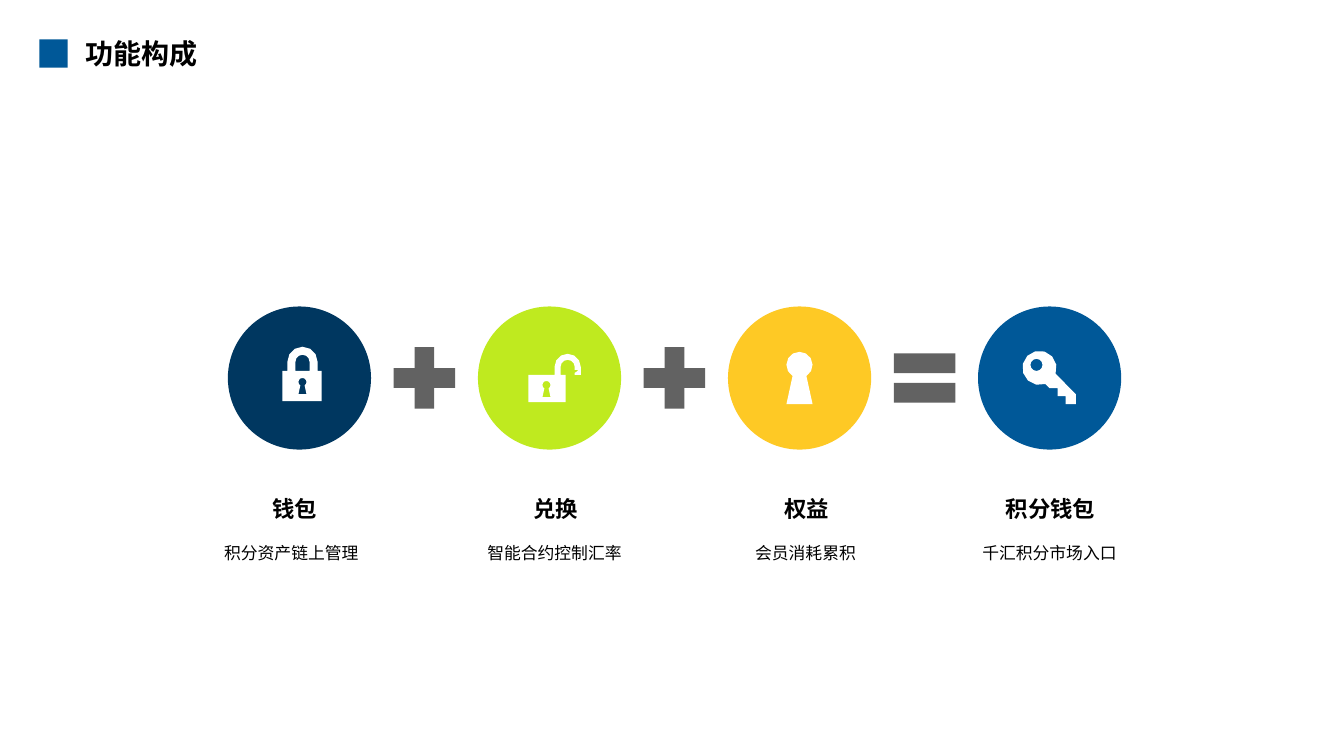
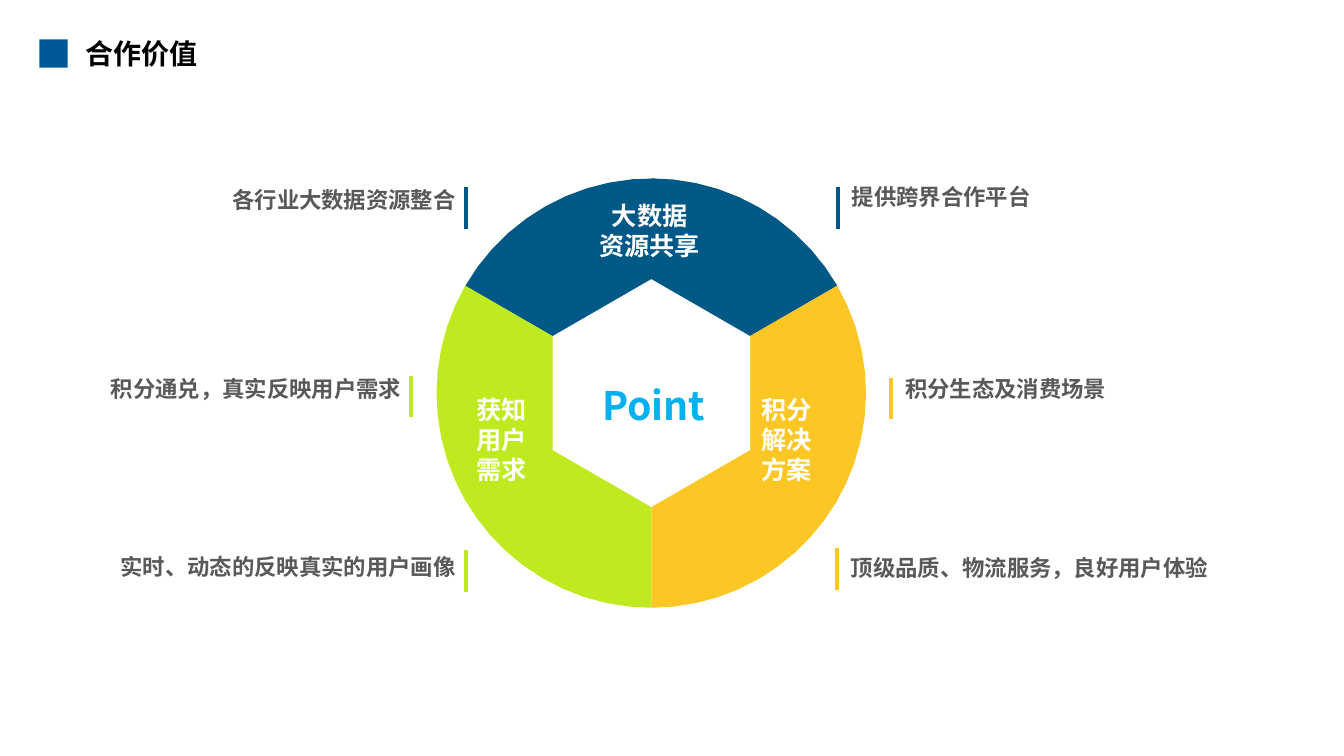
import math

import pptx
import pptx.dml.color
import pptx.enum.shapes
import pptx.enum.text
import pptx.oxml
import pptx.oxml.ns
import pptx.util

Inches = pptx.util.Inches
Pt = pptx.util.Pt
RGBColor = pptx.dml.color.RGBColor
SHAPE = pptx.enum.shapes.MSO_SHAPE
ALIGN = pptx.enum.text.PP_ALIGN
ANCHOR = pptx.enum.text.MSO_ANCHOR

# Shared style
BLUE = RGBColor(0x00, 0x58, 0x98)
NAVY = RGBColor(0x00, 0x37, 0x60)
TEAL = RGBColor(0x00, 0x58, 0x86)
LIME = RGBColor(0xBF, 0xEA, 0x1F)
AMBER = RGBColor(0xFE, 0xC9, 0x25)
GOLD = RGBColor(0xFC, 0xC7, 0x25)
SKY = RGBColor(0x00, 0xB0, 0xF0)
GRAY = RGBColor(0x62, 0x62, 0x62)
DARK_GRAY = RGBColor(0x59, 0x59, 0x59)
BLACK = RGBColor(0, 0, 0)
WHITE = RGBColor(0xFF, 0xFF, 0xFF)
CJK_FONT = "Noto Sans CJK SC"
LABEL_FONT = "Arial"


# Outlines, in inches; angles run clockwise from the right
def arc(center_x, center_y, radius, start, end, step=30):
    steps = max(1, round(abs(end - start) / step))
    angles = [math.radians(start + (end - start) * i / steps) for i in range(steps + 1)]
    return [(center_x + radius * math.cos(a), center_y + radius * math.sin(a)) for a in angles]


def keyhole(center_x, center_y, radius):
    foot = center_y + 3 * radius
    return arc(center_x, center_y, radius, 122, 418) + [
        (center_x + radius, foot), (center_x - radius, foot)]


# Icon contours, relative to the centre of their circle
CLOSED_LOCK = [
    [(-0.17, 0.23), (-0.17, -0.07), (-0.12, -0.07), *arc(0.03, -0.16, 0.15, 180, 360),
     (0.18, -0.07), (0.22, -0.07), (0.22, 0.23)],
    [(0.1, -0.07), *arc(0.03, -0.16, 0.07, 360, 180), (-0.04, -0.07)],
    keyhole(0.03, 0.04, 0.04),
]
OPEN_LOCK = [
    [(-0.21, 0.24), (-0.21, -0.03), (0.05, -0.03), *arc(0.18, -0.11, 0.13, 180, 360),
     (0.31, -0.03), (0.25, -0.03), (0.25, -0.05), (0.28, -0.07), (0.28, -0.08),
     (0.25, -0.08), *arc(0.18, -0.11, 0.07, 360, 180), (0.11, -0.03),
     (0.16, -0.03), (0.16, 0.24)],
    keyhole(-0.03, 0.07, 0.04),
]
KEYHOLE = [keyhole(0, -0.13, 0.13)]
KEY = [
    [*arc(-0.1, -0.1, 0.17, 70, 380), (0.26, 0.16), (0.26, 0.26), (0.16, 0.26),
     (0.16, 0.18), (0.08, 0.18), (0.08, 0.1), (0, 0.1)],
    arc(-0.13, -0.13, 0.06, 0, 330),
]

# Slide 1: name and its centre, detail and its centre, circle colour, icon
FEATURES = [
    ("钱包", 2.92, "积分资产链上管理", 2.89, NAVY, CLOSED_LOCK),
    ("兑换", 5.51, "智能合约控制汇率", 5.5, LIME, OPEN_LOCK),
    ("权益", 8.0, "会员消耗累积", 7.99, AMBER, KEYHOLE),
    ("积分钱包", 10.42, "千汇积分市场入口", 10.41, BLUE, KEY),
]
OPERATORS = [SHAPE.MATH_PLUS, SHAPE.MATH_PLUS, SHAPE.MATH_EQUAL]

# Slide 2: text, text top, bar x, bar top, bar colour
LEFT_NOTES = [
    ("各行业大数据资源整合", 1.8, 4.62, 1.86, TEAL),
    ("积分通兑，真实反映用户需求", 3.67, 4.08, 3.73, LIME),
    ("实时、动态的反映真实的用户画像", 5.44, 4.62, 5.46, LIME),
]
RIGHT_NOTES = [
    ("提供跨界合作平台", 1.77, 8.31, 1.86, TEAL),
    ("积分生态及消费场景", 3.67, 8.84, 3.75, GOLD),
    ("顶级品质、物流服务，良好用户体验", 5.45, 8.3, 5.44, GOLD),
]
SECTOR_COLORS = [TEAL, GOLD, LIME]
# Text, box, alignment
SECTOR_LABELS = [
    ("大数据\n资源共享", (5.53, 1.94, 1.83, 0.9), ALIGN.CENTER),
    ("获知\n用户\n需求", (4.63, 3.86, 1.46, 1.28), ALIGN.LEFT),
    ("积分解决方案", (7.45, 3.86, 0.89, 1.28), ALIGN.LEFT),
]


def write(frame, text, size, color, bold=True, font=CJK_FONT, align=ALIGN.LEFT,
          anchor=ANCHOR.TOP, spacing=None, inset=None):
    frame.word_wrap = True
    frame.auto_size = pptx.enum.text.MSO_AUTO_SIZE.NONE
    frame.vertical_anchor = anchor
    if inset is not None:
        frame.margin_left = frame.margin_right = Inches(inset)
        frame.margin_top = frame.margin_bottom = Inches(inset)
    for index, line in enumerate(text.split("\n")):
        paragraph = frame.add_paragraph() if index else frame.paragraphs[0]
        paragraph.alignment = align
        if spacing:
            paragraph.line_spacing = spacing
        run = paragraph.add_run()
        run.text = line
        run.font.size = Pt(size)
        run.font.bold = bold
        run.font.color.rgb = color
        run.font.name = font
        east_asian = pptx.oxml.parse_xml(
            f'<a:ea {pptx.oxml.ns.nsdecls("a")} typeface="{CJK_FONT}"/>')
        run.font._element.append(east_asian)


def add_text(slide, text, box, **text_format):
    shape = slide.shapes.add_textbox(*map(Inches, box))
    write(shape.text_frame, text, **text_format)


def paint(shape, color):
    shape.shadow.inherit = False
    shape.fill.solid()
    shape.fill.fore_color.rgb = color
    shape.line.fill.background()


def add_shape(slide, kind, box, color):
    paint(slide.shapes.add_shape(kind, *map(Inches, box)), color)


def add_outline(slide, contours, color, center):
    builder = None
    for contour in contours:
        points = [(Inches(center[0] + x), Inches(center[1] + y)) for x, y in contour]
        if builder is None:
            builder = slide.shapes.build_freeform(*points[0])
        else:
            builder.move_to(*points[0])
        builder.add_line_segments(points[1:], close=True)
    paint(builder.convert_to_shape(), color)


def add_bar(slide, x, top, color):
    bar = slide.shapes.add_connector(
        pptx.enum.shapes.MSO_CONNECTOR.STRAIGHT,
        Inches(x), Inches(top), Inches(x), Inches(top + 0.41))
    bar.line.color.rgb = color
    bar.line.width = Pt(3)
    bar._element.spPr.append(
        pptx.oxml.parse_xml(f'<a:effectLst {pptx.oxml.ns.nsdecls("a")}/>'))


def start_slide(presentation, title_text):
    slide = presentation.slides.add_slide(presentation.slide_layouts[5])
    add_shape(slide, SHAPE.RECTANGLE, (0.39, 0.39, 0.28, 0.28), BLUE)
    title = slide.shapes.title
    title.left, title.top, title.width, title.height = map(Inches, (0.75, 0.31, 2.91, 0.44))
    write(title.text_frame, title_text, size=20, color=BLACK, anchor=ANCHOR.MIDDLE)
    return slide


def build_features(presentation):
    slide = start_slide(presentation, "功能构成")
    first_x, step, center_y, diameter, operator_size = 2.97, 2.48, 3.75, 1.42, 0.83
    label_format = dict(color=BLACK, font=LABEL_FONT, align=ALIGN.CENTER, inset=0)
    for index, (name, name_x, detail, detail_x, color, icon) in enumerate(FEATURES):
        x = first_x + index * step
        add_shape(slide, SHAPE.OVAL,
                  (x - diameter / 2, center_y - diameter / 2, diameter, diameter), color)
        add_outline(slide, icon, WHITE, (x, center_y))
        add_text(slide, name, (name_x - 1.28, 4.91, 2.56, 0.27), size=16, **label_format)
        add_text(slide, detail, (detail_x - 0.98, 5.38, 1.96, 0.2),
                 size=12, bold=False, **label_format)
    # Operators halfway between neighbouring circles
    for index, operator in enumerate(OPERATORS):
        x = first_x + (index + 0.5) * step
        add_shape(slide, operator, (x - operator_size / 2, center_y - operator_size / 2,
                                    operator_size, operator_size), GRAY)


def build_value(presentation):
    slide = start_slide(presentation, "合作价值")
    # Side notes with their bars
    note_width, note_height = 4.0, 0.47
    for notes, offset, align in ((LEFT_NOTES, -note_width, ALIGN.RIGHT),
                                 (RIGHT_NOTES, 0.04, ALIGN.LEFT)):
        for text, top, bar_x, bar_top, color in notes:
            add_text(slide, text, (bar_x + offset, top, note_width, note_height),
                     size=16, color=DARK_GRAY, align=align)
            add_bar(slide, bar_x, bar_top, color)
    # Each colour is two sectors that overlap by one degree, so no seam shows
    center, radius = (6.46, 3.9), 2.13
    for index, color in enumerate(SECTOR_COLORS):
        start = 210 + 120 * index
        for first, last in ((start, start + 61), (start + 60, start + 120)):
            sector = [(0, 0), *arc(0, 0, radius, first, last, step=6)]
            add_outline(slide, [sector], color, center)
    hexagon = arc(0, 0, 1.13, 30, 330, step=60)
    add_outline(slide, [hexagon], WHITE, center)
    # Centre and sector labels
    add_text(slide, "Point", (3.86, 3.5, 5.25, 0.92), size=28, color=SKY,
             align=ALIGN.CENTER, spacing=1.5)
    for text, box, align in SECTOR_LABELS:
        add_text(slide, text, box, size=18, color=WHITE, align=align)


def main():
    presentation = pptx.Presentation()
    presentation.slide_width = Inches(13.33)
    presentation.slide_height = Inches(7.5)
    build_features(presentation)
    build_value(presentation)
    presentation.save("out.pptx")


if __name__ == "__main__":
    main()
